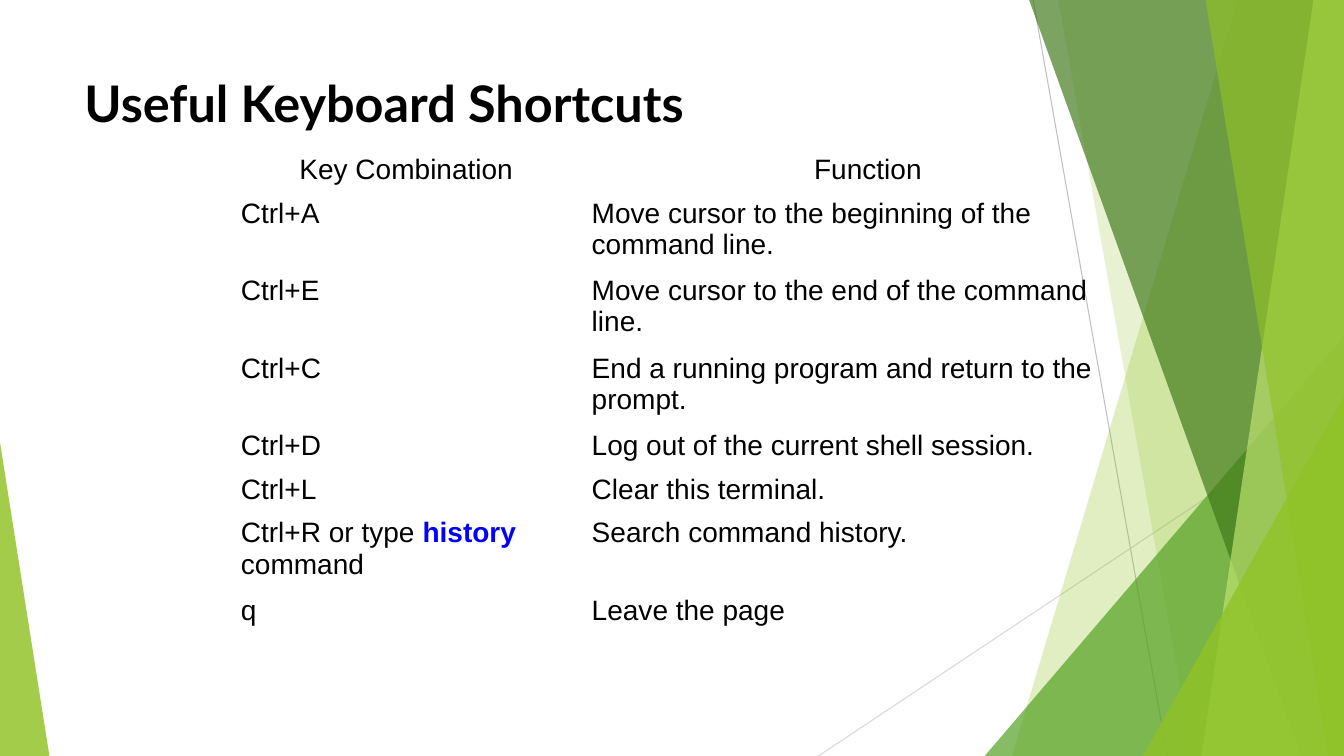
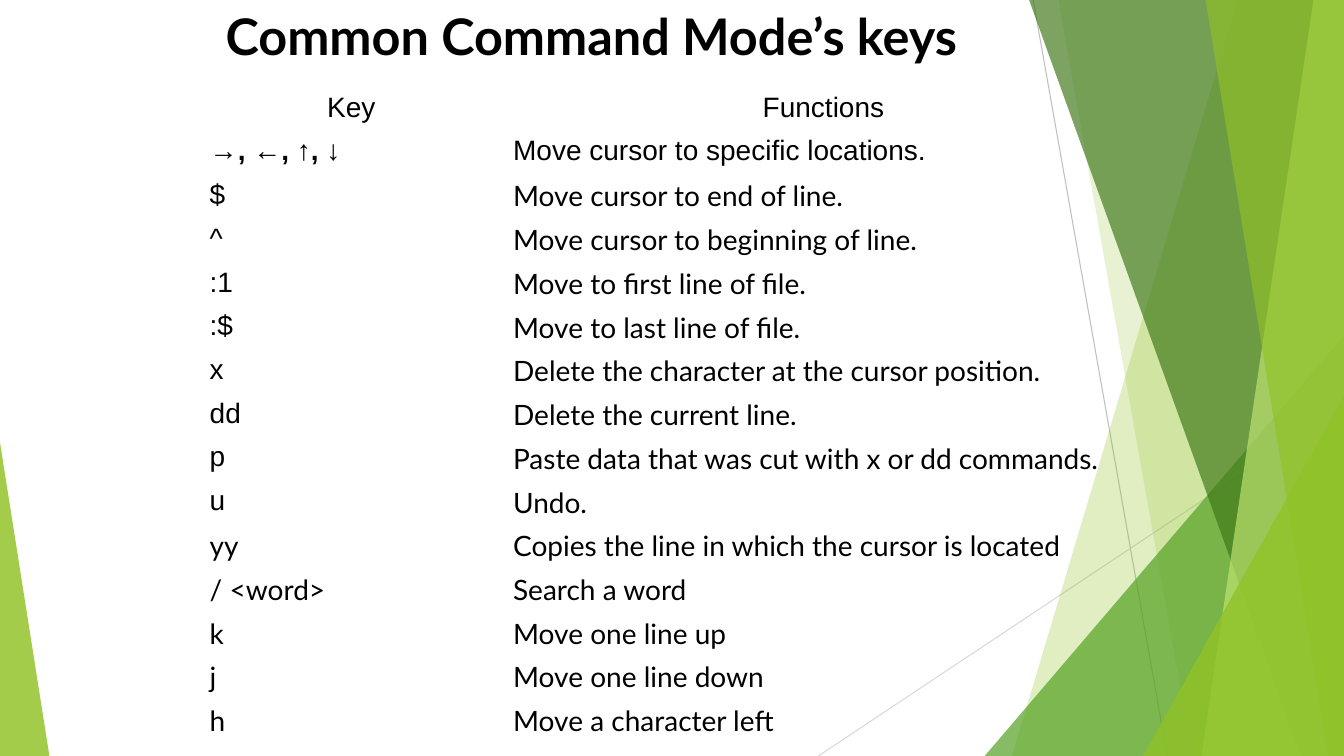
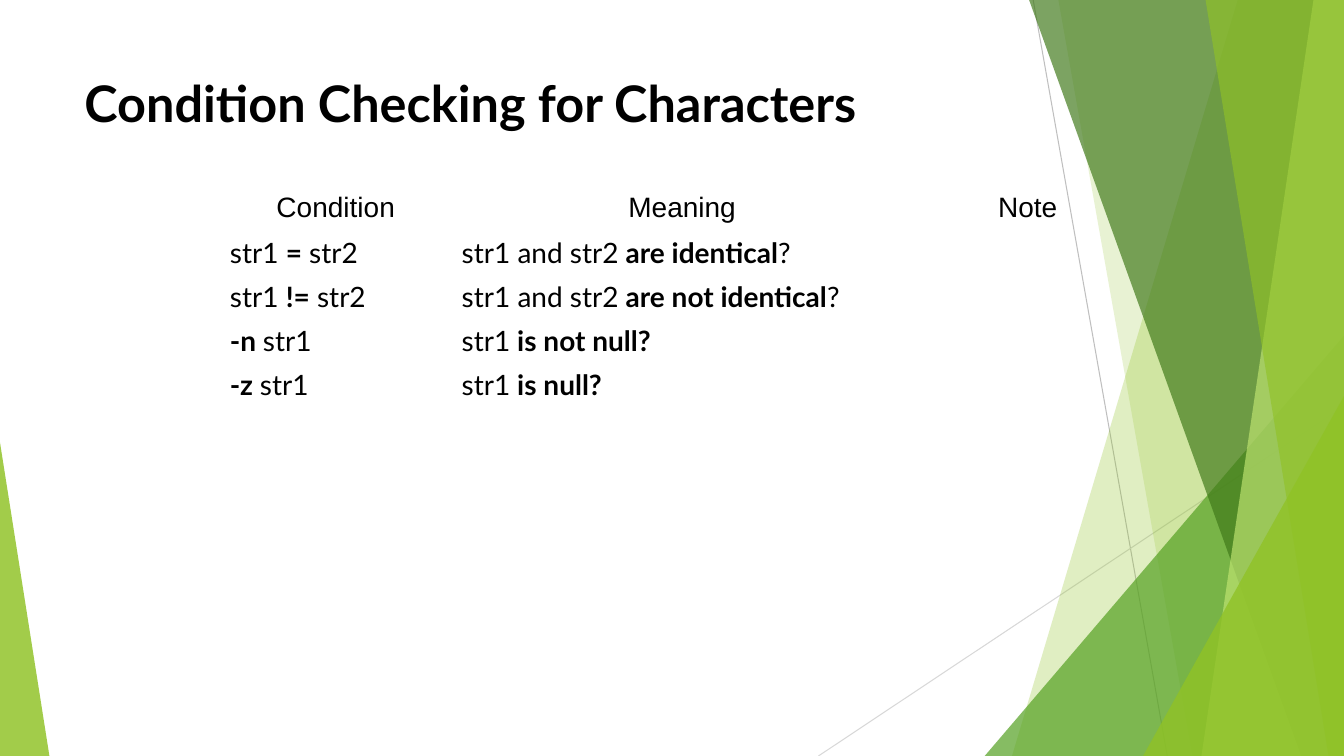
from lxml import etree
from pptx import Presentation
from pptx.dml.color import RGBColor
from pptx.enum.shapes import MSO_CONNECTOR, MSO_SHAPE
from pptx.enum.text import PP_ALIGN
from pptx.oxml.ns import qn
from pptx.util import Pt

STRAIGHT = MSO_CONNECTOR.STRAIGHT
TRIANGLE = MSO_SHAPE.ISOSCELES_TRIANGLE
CENTER = PP_ALIGN.CENTER

# Shared look
WIDTH, HEIGHT = 960, 540
ARIAL, LATO = "Arial", "Lato"
BLACK, BLUE = "000000", "0000FF"
LEAF, GRASS, FOREST, LIME = "90C226", "54A021", "3F7818", "BFE471"
TITLE_SIZE, TABLE_SIZE, ROW_HEIGHT = 36, 20, 29.5
TITLE_BOX = (53.3, 48.2, 676.8, 103.7)
NO_STYLE_NO_GRID = "{2D5ABB26-0587-4C30-8999-92F81FD0307C}"

# Hairlines: start, end, colour
HAIRLINES = [
    ((738, 0), (833.8, HEIGHT), "BFBFBF"),
    ((WIDTH, 290.2), (584.6, HEIGHT), "D8D8D8"),
]
# Bands run to the right edge: ("band", (top x, bottom x), colour, opacity %)
# Corners rise to a slide edge: ("corner", (left, top, width, apex), colour, opacity %)
FACETS = [
    ("band", (884.2, 722.9), LEAF, 28),
    ("band", (756, 851.8), LEAF, 20),
    ("corner", (703.4, 239.8, 256.6, 1), GRASS, 70),
    ("band", (735.1, 929.5), FOREST, 68),
    ("band", (938.2, 858.2), LIME, 68),
    ("band", (861.1, 949), LEAF, 63),
    ("corner", (816.5, 283, 143.5, 1), LEAF, 80),
    ("corner", (0, 316.1, 35.3, 0), LEAF, 83),
]


def plain(text):
    return text, False, BLACK


def bold(text, colour=BLACK):
    return text, True, colour


# Content: each group of rows has one font per column
SLIDES = [
    {
        "title": "Useful Keyboard Shortcuts",
        "title_box": TITLE_BOX,
        "table_at": (164.9, 106.6),
        "columns": (250.6, 409),
        "header": ["Key Combination", "Function"],
        "groups": [((ARIAL, ARIAL), [
            ["Ctrl+A", "Move cursor to the beginning of the command line."],
            ["Ctrl+E", "Move cursor to the end of the command line."],
            ["Ctrl+C", "End a running program and return to the prompt."],
            ["Ctrl+D", "Log out of the current shell session."],
            ["Ctrl+L", "Clear this terminal."],
            [[plain("Ctrl+R or type "), bold("history ", BLUE), plain("command")],
             "Search command history."],
            ["q", "Leave the page"],
        ])],
    },
    {
        "title": "Common Command Mode’s keys",
        "title_box": (154.1, 0, 638.6, 62.6),
        "table_at": (142.6, 61.9),
        "columns": (216.7, 457.9),
        "header": ["Key", "Functions"],
        "groups": [
            ((ARIAL, ARIAL), [
                [[bold("→, ←, ↑, ↓")], "Move cursor to specific locations."],
            ]),
            ((ARIAL, LATO), [
                ["$", "Move cursor to end of line."],
                ["^", "Move cursor to beginning of line."],
                [":1", "Move to first line of file."],
                [":$", "Move to last line of file."],
                ["x", "Delete the character at the cursor position."],
                ["dd", "Delete the current line."],
                ["p", "Paste data that was cut with x or dd commands."],
                ["u", "Undo."],
            ]),
            ((LATO, LATO), [
                ["yy", "Copies the line in which the cursor is located"],
                ["/ <word>", "Search a word"],
                ["k", "Move one line up"],
                ["j", "Move one line down"],
                ["h", "Move a character left"],
            ]),
        ],
    },
    {
        "title": "Condition Checking for Characters",
        "title_box": TITLE_BOX,
        "table_at": (157, 133.9),
        "columns": (165.6, 334.8, 153.4),
        "header": ["Condition", "Meaning ", "Note"],
        "groups": [((LATO, LATO, LATO), [
            [[plain("str1 "), bold("="), plain(" str2")],
             [plain("str1 and str2"), bold(" are identical"), plain("?")], ""],
            [[plain("str1 "), bold("!="), plain(" str2")],
             [plain("str1 and str2"), bold(" are not identical"), plain("?")], ""],
            [[bold("-n "), plain("str1")],
             [plain("str1"), bold(" is not null?")], ""],
            [[bold("-z "), plain("str1")],
             [plain("str1"), bold(" is null?")], ""],
        ])],
    },
]


def rgb(colour):
    return RGBColor.from_string(colour)


def pts(values):
    return [Pt(value) for value in values]


def style(font, name, size, is_bold, colour):
    font.name, font.size, font.bold = name, Pt(size), is_bold
    font.color.rgb = rgb(colour)


def add_hairline(slide, start, end, colour):
    hairline = slide.shapes.add_connector(STRAIGHT, *pts(start + end))
    hairline.line.color.rgb = rgb(colour)
    hairline.line.width = Pt(0.75)
    etree.SubElement(hairline.element.spPr, qn("a:effectLst"))
    return hairline


def add_facet(slide, kind, geometry, colour, opacity):
    if kind == "band":
        top_x, bottom_x = geometry
        outline = slide.shapes.build_freeform(Pt(top_x), 0)
        corners = [(WIDTH, 0), (WIDTH, HEIGHT), (bottom_x, HEIGHT)]
        outline.add_line_segments([pts(corner) for corner in corners], close=True)
        facet = outline.convert_to_shape()
    else:
        left, top, width, apex = geometry
        facet = slide.shapes.add_shape(TRIANGLE, *pts((left, top, width, HEIGHT - top)))
        facet.adjustments[0] = apex
    facet.shadow.inherit = False
    facet.line.fill.background()
    facet.fill.solid()
    facet.fill.fore_color.rgb = rgb(colour)
    tint = facet.element.spPr.find(qn("a:solidFill"))[0]
    etree.SubElement(tint, qn("a:alpha"), val=str(opacity * 1000))
    return facet


def decorate_layout(layout, slide):
    """Draw the backdrop on a slide, then move it to the shared layout."""
    for placeholder in list(layout.placeholders):
        layout.shapes.element.remove(placeholder.element)
    backdrop = [add_hairline(slide, *hairline) for hairline in HAIRLINES]
    backdrop += [add_facet(slide, *facet) for facet in FACETS]
    for part in backdrop:
        layout.shapes.element.append(part.element)


def add_title(slide, title, box):
    frame = slide.shapes.add_textbox(*pts(box)).text_frame
    frame.word_wrap = True
    frame.text = title
    style(frame.paragraphs[0].runs[0].font, LATO, TITLE_SIZE, True, BLACK)


def fill_cell(cell, content, font_name, alignment):
    cell.fill.background()
    paragraph = cell.text_frame.paragraphs[0]
    paragraph.alignment = alignment
    pieces = [plain(content)] if isinstance(content, str) else content
    for text, is_bold, colour in pieces:
        if text:
            run = paragraph.add_run()
            run.text = text
            style(run.font, font_name, TABLE_SIZE, is_bold, colour)


def add_key_table(slide, page):
    columns = page["columns"]
    rows = [(page["header"], [ARIAL] * len(columns), CENTER)]
    rows += [(row, fonts, None) for fonts, group in page["groups"] for row in group]
    size = (sum(columns), ROW_HEIGHT * len(rows))
    frame = slide.shapes.add_table(len(rows), len(columns), *pts(page["table_at"] + size))
    frame.element.find(".//" + qn("a:tableStyleId")).text = NO_STYLE_NO_GRID
    table = frame.table
    table.first_row = table.horz_banding = False
    for column, width in zip(table.columns, columns):
        column.width = Pt(width)
    for table_row, (contents, fonts, alignment) in zip(table.rows, rows):
        table_row.height = Pt(ROW_HEIGHT)
        for cell, content, font_name in zip(table_row.cells, contents, fonts):
            fill_cell(cell, content, font_name, alignment)


def main():
    deck = Presentation()
    deck.slide_width, deck.slide_height = Pt(WIDTH), Pt(HEIGHT)
    blank = deck.slide_layouts[6]
    for number, page in enumerate(SLIDES):
        slide = deck.slides.add_slide(blank)
        if number == 0:
            decorate_layout(blank, slide)
        add_title(slide, page["title"], page["title_box"])
        add_key_table(slide, page)
    deck.save("out.pptx")


if __name__ == "__main__":
    main()
